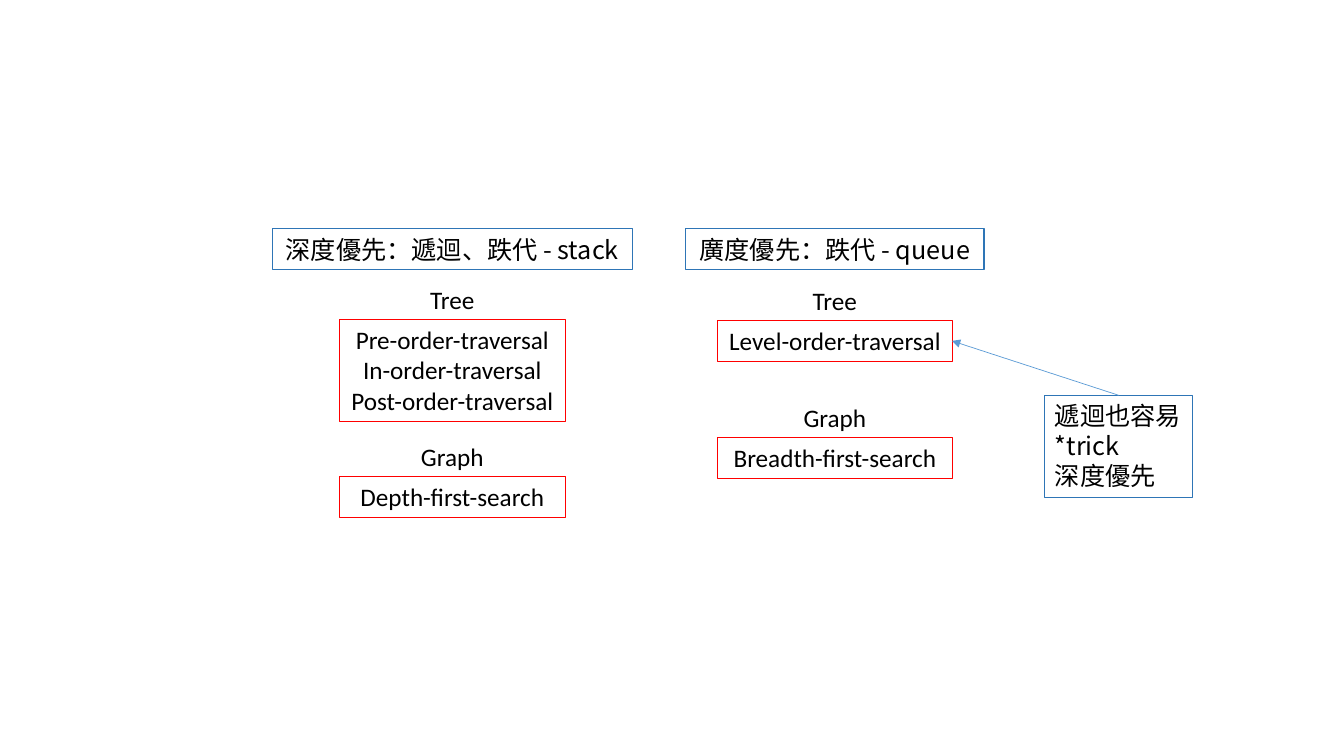
"""Build a slide that contrasts depth-first and breadth-first traversal."""
from dataclasses import dataclass

from lxml import etree
from pptx import Presentation
from pptx import util as u
from pptx.dml.color import RGBColor
from pptx.enum import shapes, text
from pptx.oxml import ns

LATIN, CHINESE = "Calibri", "Noto Sans CJK SC"
BLACK, RED, BLUE, LIGHT_BLUE = "000000", "FF0000", "2E75B6", "5B9BD5"
LINE_HEIGHT, PADDING = 0.77, 0.26
LABEL_WIDTHS = {"Tree": 1.65, "Graph": 2.11}
HEADING_TOP, LABEL_RISE = 5.77, 1.01


@dataclass
class Topic:
    label: str
    methods: str
    top: float


@dataclass
class Column:
    heading: str
    center: float
    heading_width: float
    box_width: float
    topics: list[Topic]


COLUMNS = [
    Column("深度優先：遞迴、跌代 - stack", 11.4, 9.07, 5.7, [
        Topic("Tree", "Pre-order-traversal\nIn-order-traversal\nPost-order-traversal", 8.05),
        Topic("Graph", "Depth-first-search", 12.01),
    ]),
    Column("廣度優先：跌代 - queue", 21.04, 7.52, 5.92, [
        Topic("Tree", "Level-order-traversal", 8.08),
        Topic("Graph", "Breadth-first-search", 11.03),
    ]),
]


def color(value: str) -> RGBColor:
    return RGBColor.from_string(value)


def write(box, content: str, *, font: str = LATIN, align=text.PP_ALIGN.CENTER) -> None:
    frame = box.text_frame
    frame.word_wrap = False
    frame.auto_size = text.MSO_AUTO_SIZE.SHAPE_TO_FIT_TEXT
    frame.vertical_anchor = text.MSO_ANCHOR.TOP
    frame.text = content
    for para in frame.paragraphs:
        para.alignment = align
        for span in para.runs:
            span.font.size = u.Pt(18)
            span.font.name = font
            span.font.color.rgb = color(BLACK)
            east_asian = etree.SubElement(span.font._element, ns.qn("a:ea"))
            east_asian.set("typeface", font)


def add_box(page, content: str, center: float, top: float, width: float, *,
            line: str | None = None, **text_format) -> None:
    height = PADDING + LINE_HEIGHT * len(content.split("\n"))
    area = [u.Cm(value) for value in (center - width / 2, top, width, height)]
    if line:
        box = page.shapes.add_shape(shapes.MSO_SHAPE.RECTANGLE, *area)
        box.shadow.inherit = False
        box.fill.background()
        box.line.color.rgb = color(line)
        box.line.width = u.Pt(0.75)
    else:
        box = page.shapes.add_textbox(*area)
    write(box, content, **text_format)


def add_column(page, column: Column) -> None:
    add_box(page, column.heading, column.center, HEADING_TOP, column.heading_width,
            line=BLUE, font=CHINESE)
    for topic in column.topics:
        add_box(page, topic.methods, column.center, topic.top, column.box_width, line=RED)
        add_box(page, topic.label, column.center, topic.top - LABEL_RISE,
                LABEL_WIDTHS[topic.label])


def add_arrow(page, start: tuple[float, float], end: tuple[float, float]) -> None:
    ends = [u.Cm(value) for value in (*start, *end)]
    arrow = page.shapes.add_connector(shapes.MSO_CONNECTOR.STRAIGHT, *ends)
    arrow.line.color.rgb = color(LIGHT_BLUE)
    arrow.line.width = u.Pt(0.5)
    etree.SubElement(arrow.line._get_or_add_ln(), ns.qn("a:tailEnd")).set("type", "triangle")
    etree.SubElement(arrow._element.spPr, ns.qn("a:effectLst"))


def main() -> None:
    deck = Presentation()
    deck.slide_width, deck.slide_height = u.Cm(33.87), u.Cm(19.05)
    page = deck.slides.add_slide(deck.slide_layouts[6])
    for column in COLUMNS:
        add_column(page, column)
    note_center, note_top = 28.19, 9.96
    add_box(page, "遞迴也容易\n*trick\n深度優先", note_center, note_top, 3.71,
            line=BLUE, font=CHINESE, align=text.PP_ALIGN.LEFT)
    add_arrow(page, (note_center, note_top), (23.99, 8.59))
    deck.save("out.pptx")


if __name__ == "__main__":
    main()
